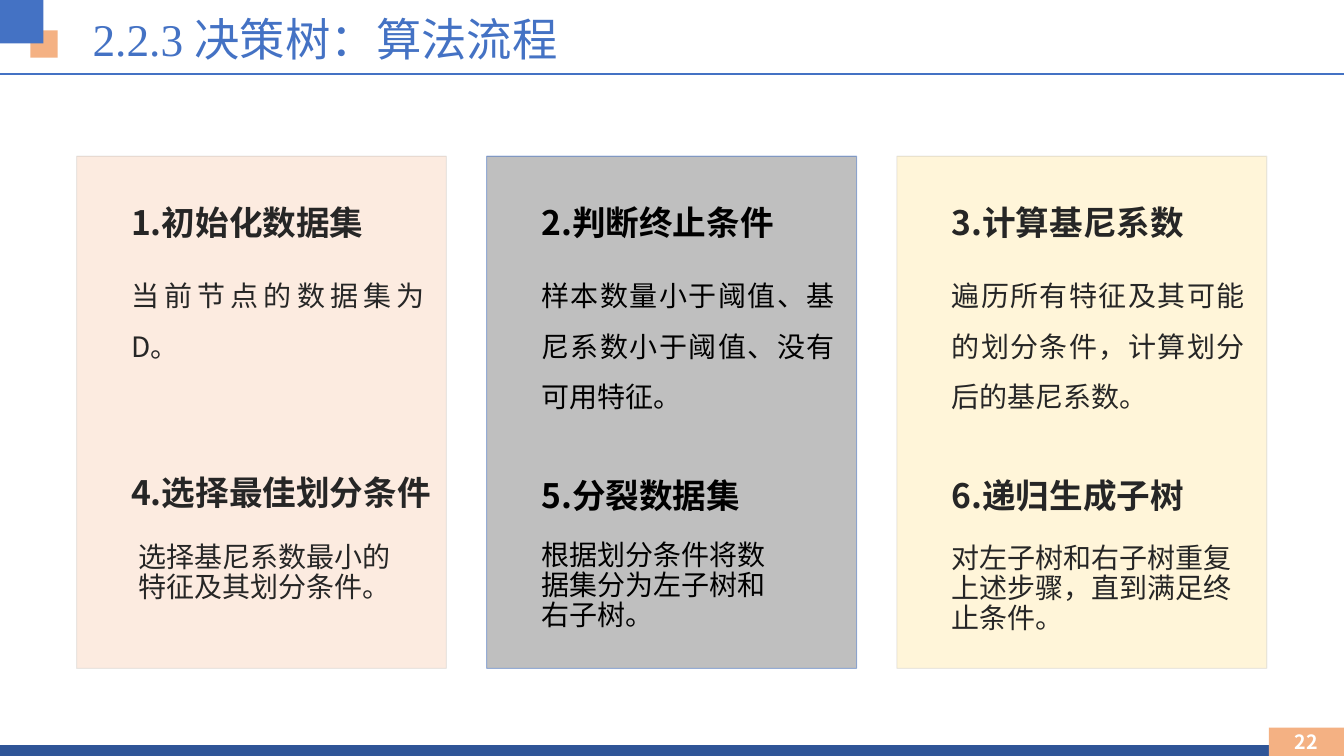
from lxml.etree import SubElement
from pptx import Presentation
from pptx.dml.color import RGBColor
from pptx.enum.shapes import MSO_CONNECTOR as Connector, MSO_SHAPE as Shape
from pptx.enum.text import MSO_ANCHOR as Anchor, PP_ALIGN as Align
from pptx.oxml.ns import qn
from pptx.util import Pt

WIDTH, HEIGHT = 960, 540
BLUE, NAVY, ORANGE = "4472C4", "2F5597", "F4B183"
SANS, SERIF = "Noto Sans CJK SC", "Times New Roman"
CARD_LEFT, CARD_TOP, CARD_WIDTH, CARD_HEIGHT, CARD_PITCH = 54.7, 111.6, 264.2, 365.8, 293
TEXT_INDENT = 39

# Each step: heading, body, then (indent shift, top, width, height) within the card
CARDS = [
    dict(fill="ED7D31", fill_opacity=15, line="999999", line_opacity=20, ink="262626", steps=[
        ("1.初始化数据集", "当前节点的数据集为D。", (0, 26, 209.5, 42), (0, 75.6, 209.5, 63)),
        ("4.选择最佳划分条件", "选择基尼系数最小的特征及其划分条件。",
         (0, 217.4, 219, 44.6), (5, 276.5, 189.4, 52)),
    ]),
    dict(fill="BFBFBF", fill_opacity=100, line=BLUE, line_opacity=50, ink="000000", steps=[
        ("2.判断终止条件", "样本数量小于阈值、基尼系数小于阈值、没有可用特征。",
         (0, 26, 209.5, 42), (0, 75.6, 209.5, 111)),
        ("5.分裂数据集", "根据划分条件将数据集分为左子树和右子树。",
         (0, 231, 168, 22), (0, 275, 168, 76)),
    ]),
    dict(fill="FFC000", fill_opacity=15, line="999999", line_opacity=20, ink="262626", steps=[
        ("3.计算基尼系数", "遍历所有特征及其可能的划分条件，计算划分后的基尼系数。",
         (0, 26, 209.5, 42), (0, 75.6, 209.5, 145)),
        ("6.递归生成子树", "对左子树和右子树重复上述步骤，直到满足终止条件。",
         (0, 228.2, 187, 27.4), (0, 277.2, 217.4, 83)),
    ]),
]


def paint(color_format, color, opacity=100):
    """Solid colour on a fill, with optional opacity in percent."""
    color_format.solid()
    color_format.fore_color.rgb = RGBColor.from_string(color)
    if opacity < 100:
        # The public API has no transparency setting
        element = color_format._xPr.find(qn("a:solidFill"))[0]
        SubElement(element, qn("a:alpha"), val=str(opacity * 1000))


def add_rectangle(slide, box, fill, fill_opacity=100, line=None, line_opacity=100):
    shape = slide.shapes.add_shape(Shape.RECTANGLE, *map(Pt, box))
    shape.shadow.inherit = False
    paint(shape.fill, fill, fill_opacity)
    if line:
        shape.line.width = Pt(0.75)
        paint(shape.line.fill, line, line_opacity)
    else:
        shape.line.fill.background()
    return shape


def add_rule(slide, y, color, width):
    rule = slide.shapes.add_connector(Connector.STRAIGHT, 0, Pt(y), Pt(WIDTH), Pt(y))
    rule.line.width = Pt(width)
    paint(rule.line.fill, color)
    SubElement(rule._element.spPr, qn("a:effectLst"))


def write(shape, text, size, color, font=SANS, bold=False, align=Align.LEFT,
          anchor=Anchor.TOP, spacing=None, margins=(0, 0)):
    frame = shape.text_frame
    frame.word_wrap = True
    frame.vertical_anchor = anchor
    frame.margin_left = frame.margin_right = Pt(margins[0])
    frame.margin_top = frame.margin_bottom = Pt(margins[1])
    paragraph = frame.paragraphs[0]
    paragraph.alignment = align
    paragraph.line_spacing = spacing
    run = paragraph.add_run()
    run.text = text
    run.font.size, run.font.bold, run.font.name = Pt(size), bold, font
    run.font.color.rgb = RGBColor.from_string(color)
    SubElement(run.font._element, qn("a:ea"), typeface=SANS)


def add_text(slide, box, text, size, color, **style):
    write(slide.shapes.add_textbox(*map(Pt, box)), text, size, color, **style)


def add_header(slide, box):
    left, top, width, height = box
    add_rule(slide, top + height, BLUE, 1.5)
    add_rectangle(slide, (left + 21.8, top + 21.8, 19.5, 19.5), ORANGE)
    add_rectangle(slide, (left, top, 31, 31), BLUE)
    add_text(slide, (left + 59, top + 3.6, 691, 47.5), "2.2.3 决策树：算法流程", 32.4, BLUE,
             font=SERIF, anchor=Anchor.MIDDLE, margins=(7.2, 3.6))


def add_footer(slide, box):
    left, top, width, height = box
    add_rule(slide, top + 16.6, NAVY, 8)
    page = add_rectangle(slide, (left + width - 53.6, top, 53.6, height), ORANGE)
    write(page, "22", 14, "FFFFFF", bold=True, align=Align.CENTER,
          anchor=Anchor.MIDDLE, margins=(0, 3.6))


def add_card(slide, box, steps, ink, **colors):
    add_rectangle(slide, box, **colors)

    def place(area):
        shift, top, width, height = area
        return box[0] + TEXT_INDENT + shift, box[1] + top, width, height

    body_styles = [dict(align=Align.JUSTIFY, spacing=1.5), dict(spacing=0.9)]
    for (heading, body, heading_area, body_area), body_style in zip(steps, body_styles):
        add_text(slide, place(heading_area), heading, 24, ink, bold=True, anchor=Anchor.MIDDLE)
        add_text(slide, place(body_area), body, 20, ink, **body_style)


def main():
    presentation = Presentation()
    presentation.slide_width, presentation.slide_height = Pt(WIDTH), Pt(HEIGHT)
    slide = presentation.slides.add_slide(presentation.slide_layouts[6])

    add_header(slide, (0, 0, WIDTH, 52.6))
    add_footer(slide, (0, 519.8, WIDTH, 20.5))
    for column, card in enumerate(CARDS):
        box = (CARD_LEFT + column * CARD_PITCH, CARD_TOP, CARD_WIDTH, CARD_HEIGHT)
        add_card(slide, box, **card)

    presentation.save("out.pptx")


if __name__ == "__main__":
    main()
